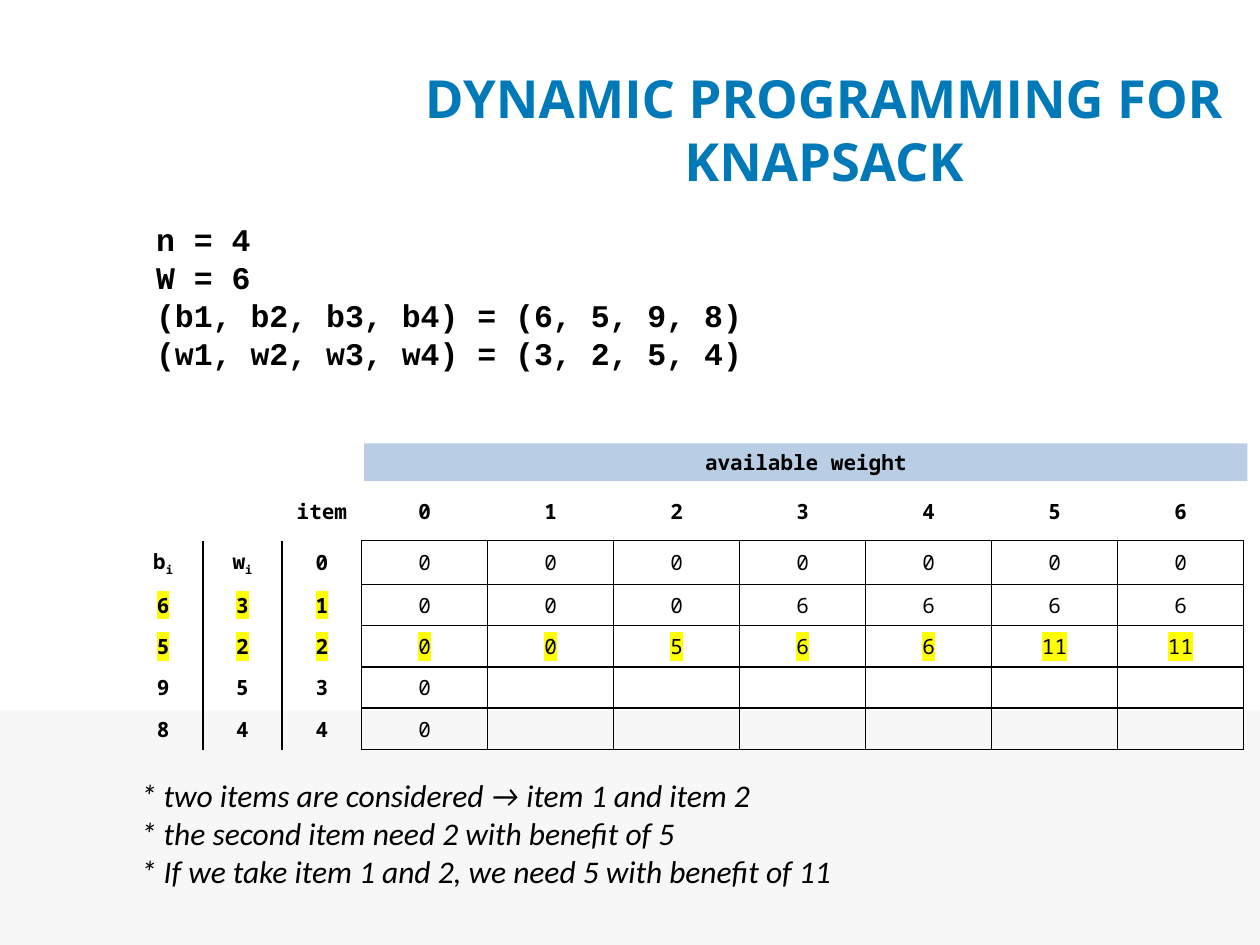
from lxml import etree
from pptx import Presentation
from pptx.dml.color import RGBColor
from pptx.enum import shapes, text
from pptx.oxml import ns
from pptx.util import Inches, Pt

BLACK = RGBColor(0x00, 0x00, 0x00)
TITLE_BLUE = RGBColor(0x00, 0x79, 0xB8)
BAND_GREY = RGBColor(0xF7, 0xF7, 0xF7)
HEADING_BLUE = RGBColor(0xB9, 0xCD, 0xE5)
YELLOW = RGBColor(0xFF, 0xFF, 0x00)
MONO = "Noto Sans Mono"
PLAIN_TABLE_STYLE = "{2D5ABB26-0587-4C30-8999-92F81FD0307C}"

LABEL_COLUMNS = 3
COLUMN_WIDTHS = [0.63] * LABEL_COLUMNS + [1.0] * 7
ROW_HEIGHTS = [0.46, 0.32, 0.32, 0.32, 0.32, 0.33]
ROWS = [
    ["", "", "item", "0", "1", "2", "3", "4", "5", "6"],
    ["b_i", "w_i", "0", "0", "0", "0", "0", "0", "0", "0"],
    ["6", "3", "1", "0", "0", "0", "6", "6", "6", "6"],
    ["5", "2", "2", "0", "0", "5", "6", "6", "11", "11"],
    ["9", "5", "3", "0", "", "", "", "", "", ""],
    ["8", "4", "4", "0", "", "", "", "", "", ""],
]


def add_child(parent, tag, **attributes):
    return etree.SubElement(parent, ns.qn(tag), attributes)


def add_run(paragraph, content, font, size, color=BLACK, bold=False,
            italic=False, highlight=None, subscript=False):
    run = paragraph.add_run()
    run.text = content
    run.font.size = Pt(size)
    run.font.bold = bold
    run.font.italic = italic
    run.font.color.rgb = color
    properties = run.font._element
    if highlight is not None:
        add_child(add_child(properties, "a:highlight"), "a:srgbClr", val=str(highlight))
    if subscript:
        properties.set("baseline", "-25000")
    run.font.name = font


def write_lines(frame, lines, alignment=text.PP_ALIGN.LEFT, **style):
    for index, line in enumerate(lines):
        paragraph = frame.add_paragraph() if index else frame.paragraphs[0]
        paragraph.alignment = alignment
        add_run(paragraph, line, **style)


def add_text(slide, box, lines, wrap=True, anchor=text.MSO_ANCHOR.TOP, **style):
    frame = slide.shapes.add_textbox(*map(Inches, box)).text_frame
    frame.word_wrap = wrap
    frame.vertical_anchor = anchor
    if not wrap:
        frame.auto_size = text.MSO_AUTO_SIZE.SHAPE_TO_FIT_TEXT
    write_lines(frame, lines, **style)


def add_rectangle(slide, box, color):
    shape = slide.shapes.add_shape(shapes.MSO_SHAPE.RECTANGLE, *map(Inches, box))
    shape.shadow.inherit = False
    shape.fill.solid()
    shape.fill.fore_color.rgb = color
    shape.line.fill.background()
    return shape


def border_sides(row, column):
    if column >= LABEL_COLUMNS:
        return "LRTB" if row else "B"
    if row == 0:
        return ""
    return "LR" if column else "R"


def set_borders(cell, sides):
    properties = cell._tc.get_or_add_tcPr()
    for side in sides:
        line = add_child(properties, f"a:ln{side}", w=str(Pt(1)))
        add_child(add_child(line, "a:solidFill"), "a:srgbClr", val=str(BLACK))


def fill_cell(cell, row, column, content):
    cell.vertical_anchor = text.MSO_ANCHOR.MIDDLE
    set_borders(cell, border_sides(row, column))
    cell.fill.background()
    paragraph = cell.text_frame.paragraphs[0]
    paragraph.alignment = text.PP_ALIGN.CENTER
    indents = paragraph._p.get_or_add_pPr()
    indents.set("marL", str(Inches(0.38)))
    indents.set("indent", str(Inches(-0.38)))
    if not content:
        add_child(paragraph._p, "a:endParaRPr", sz="1200")
        return
    is_label = column < LABEL_COLUMNS
    highlighted = row == 3 or (row == 2 and is_label)
    for index, part in enumerate(content.split("_")):
        add_run(paragraph, part, MONO, 12, bold=row == 0 or is_label,
                highlight=YELLOW if highlighted else None, subscript=index == 1)


def add_knapsack_table(slide):
    frame = slide.shapes.add_table(
        len(ROWS), len(COLUMN_WIDTHS), Inches(0.98), Inches(3.83),
        Inches(sum(COLUMN_WIDTHS)), Inches(sum(ROW_HEIGHTS)))
    table = frame.table
    table.first_row = False
    table.horz_banding = False
    table._tbl.tblPr.find(ns.qn("a:tableStyleId")).text = PLAIN_TABLE_STYLE
    for column, width in zip(table.columns, COLUMN_WIDTHS):
        column.width = Inches(width)
    for row, height in zip(table.rows, ROW_HEIGHTS):
        row.height = Inches(height)
    for row, values in enumerate(ROWS):
        for column, content in enumerate(values):
            fill_cell(table.cell(row, column), row, column, content)


def main():
    presentation = Presentation()
    presentation.slide_width = Inches(10)
    presentation.slide_height = Inches(7.5)
    slide = presentation.slides.add_slide(presentation.slide_layouts[6])

    add_rectangle(slide, (0, 5.64, 10, 1.86), BAND_GREY)
    add_knapsack_table(slide)
    add_text(slide, (1.14, 1.7, 6.22, 1.31),
             ["n = 4", "W = 6", "(b1, b2, b3, b4) = (6, 5, 9, 8)",
              "(w1, w2, w3, w4) = (3, 2, 5, 4)"],
             font="Courier New", size=18, bold=True)
    heading = add_rectangle(slide, (2.89, 3.52, 7.01, 0.3), HEADING_BLUE)
    write_lines(heading.text_frame, ["available weight"], text.PP_ALIGN.CENTER,
                font=MONO, size=12, bold=True)
    add_text(slide, (2.95, 0.39, 7.18, 1.27), ["DYNAMIC PROGRAMMING FOR KNAPSACK"],
             anchor=text.MSO_ANCHOR.MIDDLE, alignment=text.PP_ALIGN.CENTER,
             font="Open Sans", size=30, color=TITLE_BLUE, bold=True)
    add_text(slide, (1.02, 6.11, 5.75, 1.01),
             ["* two items are considered → item 1 and item 2",
              "* the second item need 2 with benefit of 5",
              "* If we take item 1 and 2, we need 5 with benefit of 11"],
             wrap=False, font="Calibri", size=18, italic=True)

    presentation.save("out.pptx")


if __name__ == "__main__":
    main()
